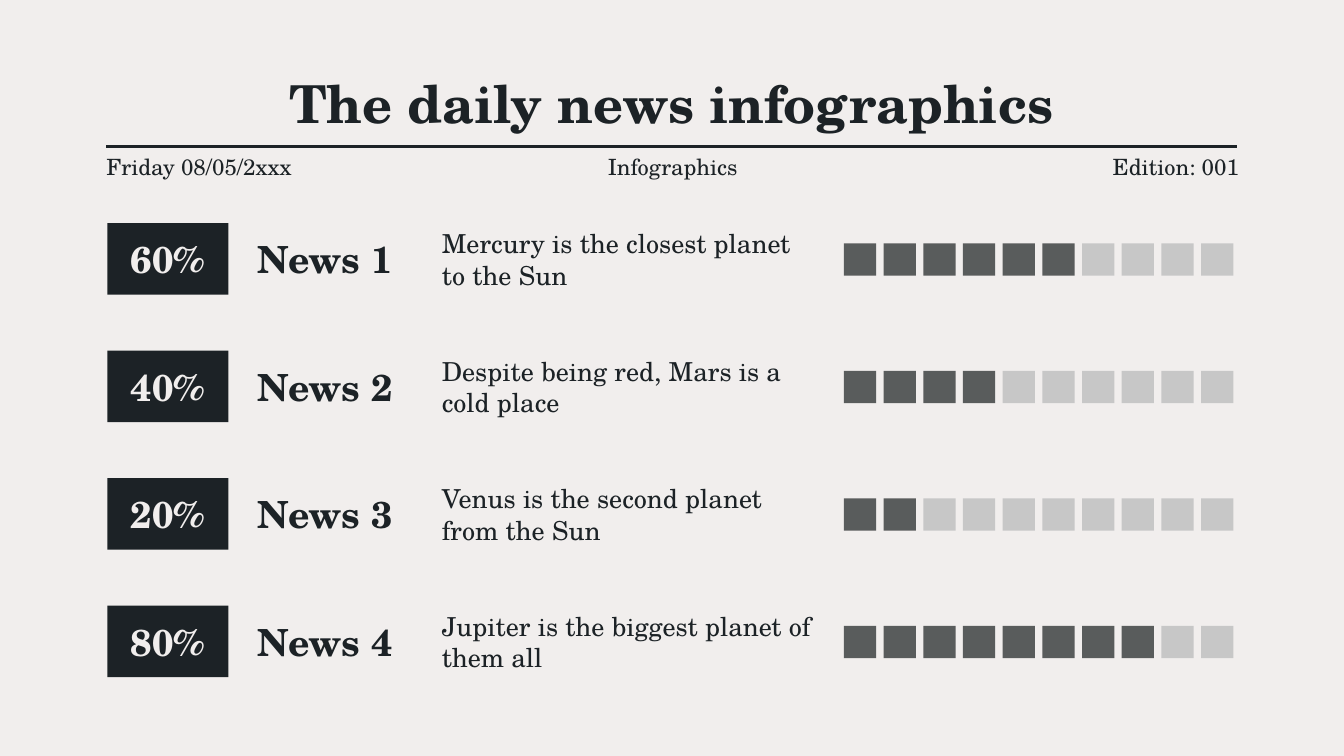
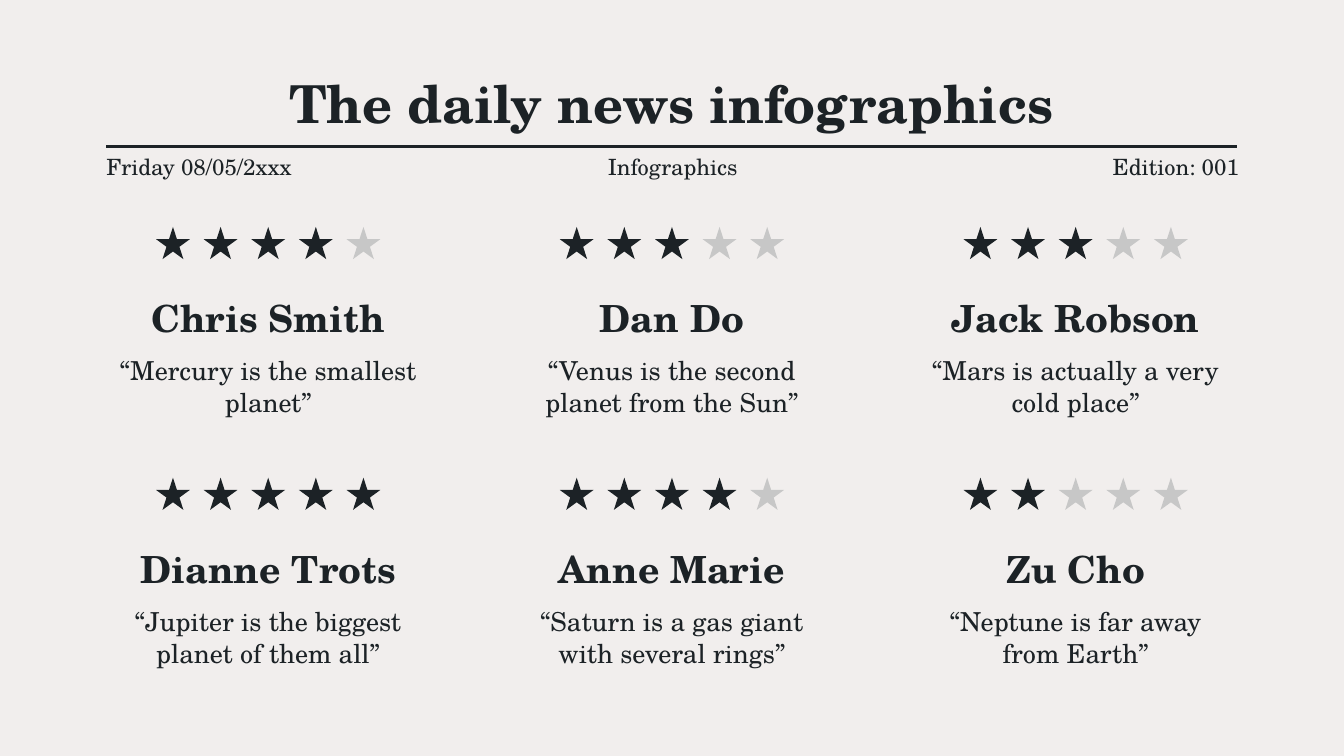
from lxml import etree
from pptx import Presentation
from pptx.dml.color import RGBColor
from pptx.enum.shapes import MSO_CONNECTOR, MSO_SHAPE
from pptx.enum.text import MSO_ANCHOR, PP_ALIGN
from pptx.oxml.ns import qn
from pptx.util import Cm, Pt

PAPER = RGBColor(0xF1, 0xEE, 0xED)
INK = RGBColor(0x1C, 0x22, 0x26)
SLATE = RGBColor(0x59, 0x5C, 0x5C)
SILVER = RGBColor(0xC7, 0xC7, 0xC7)
FONT = "TeX Gyre Schola"
INSET = 0.25

NEWS = [
    ("News 1", 6, "Mercury is the closest planet to the Sun"),
    ("News 2", 4, "Despite being red, Mars is a cold place"),
    ("News 3", 2, "Venus is the second planet from the Sun"),
    ("News 4", 8, "Jupiter is the biggest planet of them all"),
]
REVIEWS = [
    ("Chris Smith", 4, "“Mercury is the smallest planet”"),
    ("Dan Do", 3, "“Venus is the second planet from the Sun”"),
    ("Jack Robson", 3, "“Mars is actually a very cold place”"),
    ("Dianne Trots", 5, "“Jupiter is the biggest planet of them all”"),
    ("Anne Marie", 4, "“Saturn is a gas giant with several rings”"),
    ("Zu Cho", 2, "“Neptune is far away from Earth”"),
]


class Newspaper:
    """Draws on the current slide; all lengths are in centimetres."""

    def __init__(self):
        self.deck = Presentation()
        self.deck.slide_width, self.deck.slide_height = Cm(25.4), Cm(14.29)
        self.slide = None

    def new_page(self):
        self.slide = self.deck.slides.add_slide(self.deck.slide_layouts[6])
        background = self.slide.background.fill
        background.solid()
        background.fore_color.rgb = PAPER
        self.rule(2.01, 23.37, 2.77)
        self.text("The daily news infographics", 2.03, 1.35, 21.31, 1.17,
                  28, True, PP_ALIGN.CENTER)
        details = [
            ("Friday 08/05/2xxx", PP_ALIGN.LEFT),
            ("Infographics", PP_ALIGN.CENTER),
            ("Edition: 001", PP_ALIGN.RIGHT),
        ]
        for column, (detail, align) in enumerate(details):
            self.text(detail, 2.01 + column * 8.56, 2.9, 4.29, 0.48,
                      12, align=align, inset=0)

    def rule(self, left, right, y):
        line = self.slide.shapes.add_connector(
            MSO_CONNECTOR.STRAIGHT, Cm(left), Cm(y), Cm(right), Cm(y))
        line.line.color.rgb = INK
        line.line.width = Pt(1.5)
        etree.SubElement(line._element.spPr, qn("a:effectLst"))

    def set_words(self, shape, words, size, bold, align, color, inset):
        frame = shape.text_frame
        frame.text = words
        frame.word_wrap = True
        frame.vertical_anchor = MSO_ANCHOR.MIDDLE
        frame.margin_left = frame.margin_right = Cm(inset)
        frame.margin_top = frame.margin_bottom = Cm(inset)
        paragraph = frame.paragraphs[0]
        paragraph.alignment = align
        font = paragraph.runs[0].font
        font.name, font.size, font.bold = FONT, Pt(size), bold
        font.color.rgb = color

    def text(self, words, left, top, width, height, size, bold=False,
             align=PP_ALIGN.LEFT, inset=INSET):
        box = self.slide.shapes.add_textbox(
            Cm(left), Cm(top), Cm(width), Cm(height))
        self.set_words(box, words, size, bold, align, INK, inset)

    def shape(self, kind, left, top, width, height, fill, shapes=None):
        owner = self.slide.shapes if shapes is None else shapes
        shape = owner.add_shape(
            kind, Cm(left), Cm(top), Cm(width), Cm(height))
        shape.shadow.inherit = False
        shape.fill.solid()
        shape.fill.fore_color.rgb = fill
        shape.line.fill.background()
        return shape

    def badge(self, words, left, top, width, height):
        badge = self.shape(MSO_SHAPE.RECTANGLE, left, top, width, height, INK)
        self.set_words(badge, words, 20, True, PP_ALIGN.CENTER, PAPER, INSET)

    def score(self, kind, value, total, left, top, width, height, pitch, fill):
        """Group a row of marks, the first `value` of them filled."""
        marks = self.slide.shapes.add_group_shape().shapes
        for index in range(total):
            self.shape(kind, left + index * pitch, top, width, height,
                       fill if index < value else SILVER, marks)


def draw_news(paper):
    paper.new_page()
    for row, (headline, tenths, story) in enumerate(NEWS):
        top, height = 4.22 + row * 2.41, 1.35
        paper.badge(f"{tenths * 10}%", 2.03, top, 2.29, height)
        paper.text(headline, 4.62, top, 3.2, height, 20, True)
        paper.text(story, 8.1, top, 7.57, height, 14)
        paper.score(MSO_SHAPE.RECTANGLE, tenths, 10, 15.95, top + 0.38,
                    0.61, 0.61, 0.75, SLATE)


def draw_reviews(paper):
    paper.new_page()
    width = 6.12
    for index, (reviewer, stars, quote) in enumerate(REVIEWS):
        row, column = divmod(index, 3)
        left, top = 2.01 + column * 7.63, 4.29 + row * 4.74
        paper.score(MSO_SHAPE.STAR_5_POINT, stars, 5, left + 0.94, top,
                    0.64, 0.61, 0.9, INK)
        paper.text(reviewer, left, top + 1.2, width, 1.04, 20, True,
                   PP_ALIGN.CENTER)
        paper.text(quote, left, top + 2.36, width, 1.3, 14,
                   align=PP_ALIGN.CENTER)


def main():
    paper = Newspaper()
    draw_news(paper)
    draw_reviews(paper)
    paper.deck.save("out.pptx")


if __name__ == "__main__":
    main()
